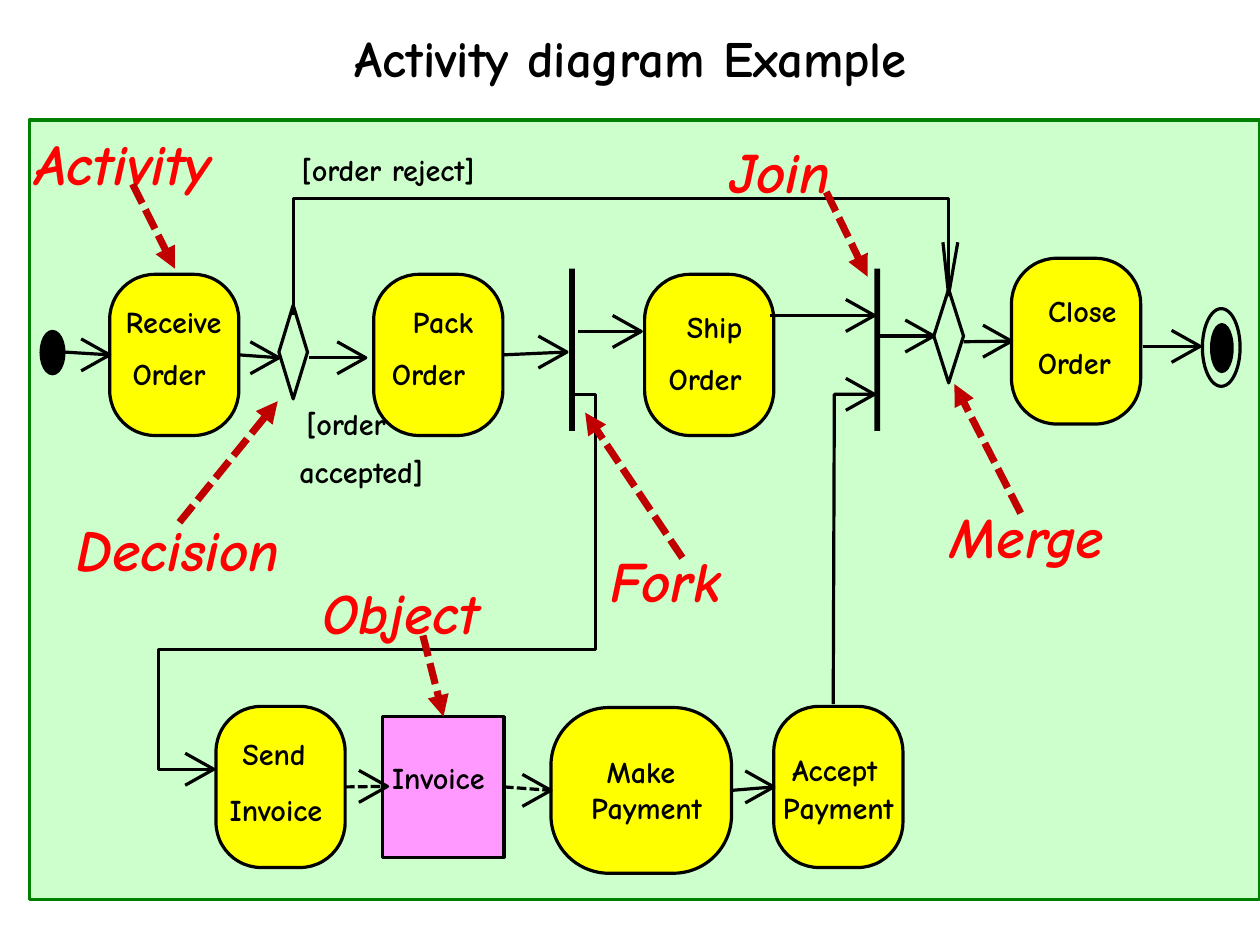
from dataclasses import dataclass

from lxml.etree import SubElement
from pptx import Presentation
from pptx.dml.color import RGBColor
from pptx.enum.dml import MSO_LINE
from pptx.enum.shapes import MSO_CONNECTOR, MSO_SHAPE
from pptx.enum.text import MSO_ANCHOR, PP_ALIGN
from pptx.oxml.ns import qn
from pptx.util import Inches, Pt


@dataclass(frozen=True)
class Theme:
    font: str = "Comic Neue"
    ink: RGBColor = RGBColor(0, 0, 0)
    canvas: RGBColor = RGBColor(0xCC, 0xFF, 0xCC)
    border: RGBColor = RGBColor(0, 0x80, 0)
    activity: RGBColor = RGBColor(0xFF, 0xFF, 0)
    object: RGBColor = RGBColor(0xFF, 0x99, 0xFF)
    callout: RGBColor = RGBColor(0xFF, 0, 0)
    pointer: RGBColor = RGBColor(0xC0, 0, 0)
    title_size: Pt = Pt(32)
    label_size: Pt = Pt(19)
    callout_size: Pt = Pt(36)
    stroke: Pt = Pt(2)
    border_stroke: Pt = Pt(2.25)
    pointer_stroke: Pt = Pt(4.5)


theme = Theme()
prs = Presentation()
# 28 by 21 centimetres
prs.slide_width = Inches(28 / 2.54)
prs.slide_height = Inches(21 / 2.54)
slide = prs.slides.add_slide(prs.slide_layouts[5])
shapes = slide.shapes


def write(frame, text, size, color, align=PP_ALIGN.LEFT, spacing=1.0, italic=False):
    """Fill a text frame without margins, one paragraph per line of text."""
    frame.margin_left = frame.margin_right = frame.margin_top = frame.margin_bottom = 0
    for number, line in enumerate(text.split("\n")):
        paragraph = frame.add_paragraph() if number else frame.paragraphs[0]
        paragraph.alignment, paragraph.line_spacing = align, spacing
        run = paragraph.add_run()
        run.text = line
        run.font.name, run.font.size = theme.font, size
        run.font.bold, run.font.italic = True, italic
        run.font.color.rgb = color


def draw_path(points):
    """Draw an open outline through points given in EMU."""
    builder = shapes.build_freeform(*points[0], scale=1.0)
    builder.add_line_segments(points[1:], close=False)
    outline = builder.convert_to_shape()
    outline.fill.background()
    outline.line.color.rgb, outline.line.width = theme.ink, theme.stroke


title = shapes.title
title.left, title.top, title.width, title.height = map(Inches, (0.82, 0.29, 9.4, 0.49))
title.text_frame.vertical_anchor = MSO_ANCHOR.MIDDLE
write(title.text_frame, "Activity diagram Example", theme.title_size, theme.ink,
      PP_ALIGN.CENTER, 0.88)

# Nodes: kind, left, top, width, height, fill
rounded, rect = MSO_SHAPE.ROUNDED_RECTANGLE, MSO_SHAPE.RECTANGLE
oval, diamond = MSO_SHAPE.OVAL, MSO_SHAPE.DIAMOND
nodes = {}
for name, kind, left, top, width, height, fill in [
    ("frame", rect, 0.26, 1.05, 10.76, 6.82, theme.canvas),
    ("receive", rounded, 0.96, 2.4, 1.13, 1.41, theme.activity),
    ("pack", rounded, 3.27, 2.4, 1.13, 1.41, theme.activity),
    ("ship", rounded, 5.64, 2.4, 1.13, 1.41, theme.activity),
    ("close", rounded, 8.85, 2.26, 1.13, 1.45, theme.activity),
    ("send", rounded, 1.89, 6.18, 1.13, 1.41, theme.activity),
    ("invoice", rect, 3.35, 6.27, 1.06, 1.23, theme.object),
    ("make", rounded, 4.82, 6.19, 1.58, 1.45, theme.activity),
    ("accept", rounded, 6.77, 6.18, 1.13, 1.41, theme.activity),
    ("decision", diamond, 2.44, 2.67, 0.25, 0.82, None),
    ("merge", diamond, 8.17, 2.53, 0.26, 0.82, None),
    ("fork", rect, 4.98, 2.35, 0.05, 1.42, theme.ink),
    ("join", rect, 7.65, 2.35, 0.05, 1.42, theme.ink),
    ("start", oval, 0.36, 2.9, 0.2, 0.37, theme.ink),
    ("end", oval, 10.6, 2.84, 0.18, 0.41, theme.ink),
    ("end ring", oval, 10.52, 2.7, 0.33, 0.68, None),
]:
    node = shapes.add_shape(kind, *map(Inches, (left, top, width, height)))
    node.shadow.inherit = False
    nodes[name] = node
    if kind == rounded:
        node.adjustments[0] = 0.35
    if fill is None:
        node.fill.background()
    else:
        node.fill.solid()
        node.fill.fore_color.rgb = fill
    if name in ("fork", "join"):
        node.line.fill.background()
    else:
        node.line.color.rgb, node.line.width = theme.ink, theme.stroke
nodes["frame"].line.color.rgb = theme.border
nodes["frame"].line.width = theme.border_stroke

# Bent flows, from source to arrow tip
for corners in [
    [(2.57, 2.76), (2.57, 1.74), (8.3, 1.74), (8.3, 2.58)],
    [(5.03, 3.45), (5.21, 3.45), (5.21, 5.68), (1.39, 5.68), (1.39, 6.73), (1.87, 6.73)],
    [(7.29, 6.16), (7.3, 3.45), (7.65, 3.45)],
    [(8.38, 2.12), (8.3, 2.58), (8.25, 2.12)],
]:
    draw_path([(Inches(x), Inches(y)) for x, y in corners])

# Straight flows: start x, tip x, y, joined source, joined target, dashed
tips = [(Inches(1.87), Inches(6.73)), (Inches(7.65), Inches(3.45))]
for start_x, tip_x, y, source, target, dashed in [
    (0.56, 0.93, 3.08, None, "receive", False),
    (2.09, 2.44, 3.13, "receive", None, False),
    (2.7, 3.2, 3.13, None, None, False),
    (4.4, 4.96, 3.08, "pack", None, False),
    (5.06, 5.61, 2.9, None, None, False),
    (6.74, 7.65, 2.76, None, None, False),
    (7.7, 8.15, 2.94, None, "merge", False),
    (8.43, 8.83, 2.99, None, "close", False),
    (10, 10.5, 3.03, None, None, False),
    (3.05, 3.39, 6.88, "send", None, True),
    (4.41, 4.82, 6.91, "invoice", "make", True),
    (6.4, 6.77, 6.9, "make", "accept", False),
]:
    flow = shapes.add_connector(MSO_CONNECTOR.STRAIGHT, *map(Inches, (start_x, y, tip_x, y)))
    flow.line.color.rgb, flow.line.width = theme.ink, theme.stroke
    if dashed:
        flow.line.dash_style = MSO_LINE.SQUARE_DOT
    if source:
        flow.begin_connect(nodes[source], 3)
    if target:
        flow.end_connect(nodes[target], 1)
    tips.append((flow.end_x, flow.end_y))

for x, y in tips:
    back, half = x - Inches(0.25), Inches(0.14)
    draw_path([(back, y - half), (x, y), (back, y + half)])

for text, left, top, width in [
    ("Receive", 1.1, 2.65, 0.95), ("Order", 1.16, 3.11, 0.77),
    ("Pack", 3.61, 2.65, 0.57), ("Order", 3.43, 3.11, 0.77),
    ("Ship", 6.01, 2.7, 0.55), ("Order", 5.85, 3.15, 0.77),
    ("Close", 9.17, 2.56, 0.65), ("Order", 9.08, 3.01, 0.77),
    ("Send", 2.12, 6.43, 0.62), ("Invoice", 2.01, 6.92, 0.91),
    ("Invoice", 3.43, 6.64, 0.91), ("Make \nPayment", 5.13, 6.59, 1.05),
    ("Accept", 6.93, 6.57, 0.88), ("Payment", 6.85, 6.91, 1.05),
    ("[order reject]", 2.64, 1.32, 1.8),
    ("[order", 2.68, 3.55, 0.79), ("accepted]", 2.62, 3.97, 1.23),
]:
    lines = text.count("\n") + 1
    label = shapes.add_textbox(*map(Inches, (left, top, width, 0.32 * lines)))
    label.text_frame.word_wrap = False
    write(label.text_frame, text, theme.label_size, theme.ink,
          PP_ALIGN.CENTER if lines > 1 else PP_ALIGN.LEFT)

# Callouts: term, left, top, pointer from, pointer to
for term, left, top, tail, tip in [
    ("Activity", 0.31, 1.03, (1.16, 1.61), (1.53, 2.35)),
    ("Decision", 0.67, 4.41, (1.57, 4.57), (2.43, 3.51)),
    ("Object", 2.82, 4.96, (3.7, 5.56), (3.88, 6.27)),
    ("Fork", 5.34, 4.68, (5.97, 4.88), (5.12, 3.61)),
    ("Join", 6.38, 1.1, (7.23, 1.68), (7.59, 2.42)),
    ("Merge", 8.32, 4.3, (8.93, 4.49), (8.35, 3.36)),
]:
    callout = shapes.add_textbox(*map(Inches, (left, top, 2.2, 0.65)))
    callout.text_frame.word_wrap = True
    write(callout.text_frame, term, theme.callout_size, theme.callout, spacing=1.15, italic=True)
    pointer = shapes.add_connector(MSO_CONNECTOR.STRAIGHT, *map(Inches, tail + tip))
    pointer.line.color.rgb, pointer.line.width = theme.pointer, theme.pointer_stroke
    pointer.line.dash_style = MSO_LINE.SQUARE_DOT
    SubElement(pointer.line._get_or_add_ln(), qn("a:tailEnd"), type="triangle")

# An empty effect list removes the default shadow of paths and connectors
for shape in shapes:
    if not shape.is_placeholder and shape._element.spPr.find(qn("a:effectLst")) is None:
        SubElement(shape._element.spPr, qn("a:effectLst"))

prs.save("out.pptx")
